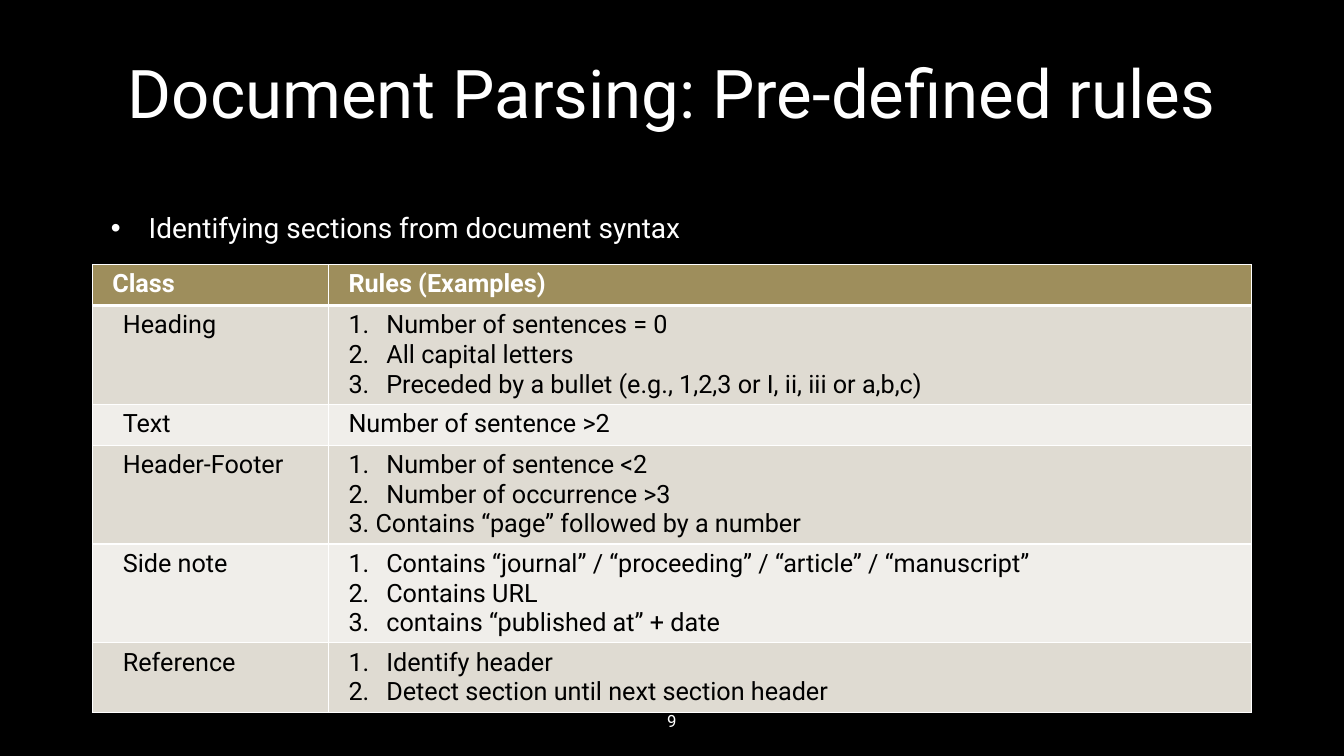
from pptx import Presentation
from pptx.dml.color import RGBColor
from pptx.enum.text import MSO_ANCHOR as Anchor, MSO_AUTO_SIZE as AutoSize, PP_ALIGN as Align
from pptx.oxml.ns import qn
from pptx.util import Emu, Pt
from lxml.etree import SubElement

PX = 9525
FONT = "Roboto"
INDENT = 36
COLORS = {
    "background": "000000",
    "light": "FFFFFF",
    "dark": "000000",
    "header": "9E8E5C",
    "odd": "DFDBD2",
    "even": "F0EEEA",
}

# Each row: height, class, rules; rules are (numbered, text)
RULES = [
    (94, "Heading", [
        (True, "Number of sentences = 0"),
        (True, "All capital letters"),
        (True, "Preceded by a bullet (e.g., 1,2,3 or I, ii, iii or a,b,c)"),
    ]),
    (39, "Text", [(False, "Number of sentence >2")]),
    (94, "Header-Footer", [
        (True, "Number of sentence <2"),
        (True, "Number of occurrence >3"),
        (False, "3. Contains “page” followed by a number"),
    ]),
    (94, "Side note", [
        (True, "Contains “journal” / “proceeding” / “article” / “manuscript”"),
        (True, "Contains URL"),
        (True, "contains “published at” + date"),
    ]),
    (66, "Reference", [
        (True, "Identify header"),
        (True, "Detect section until next section header"),
    ]),
]


def px(n):
    return Emu(n * PX)


def rgb(name):
    return RGBColor.from_string(COLORS[name])


def style(p, size, color, bold=False):
    p.font.name = FONT
    p.font.size = Pt(size)
    p.font.bold = bold
    p.font.color.rgb = rgb(color)


def add_bullet(p, tag, **attrs):
    """Give the paragraph a hanging indent and a bullet or number."""
    pPr = p._p.get_or_add_pPr()
    pPr.set("marL", str(px(INDENT)))
    pPr.set("indent", str(px(-INDENT)))
    bullet = pPr.makeelement(qn(tag), attrs)
    pPr.insert_element_before(bullet, "a:tabLst", "a:defRPr", "a:extLst")


def place(s, left, top, width, height):
    s.left, s.top, s.width, s.height = map(px, (left, top, width, height))


def fill_placeholder(s, box, text, size, anchor):
    place(s, *box)
    tf = s.text_frame
    tf.text = text
    tf.auto_size = AutoSize.NONE
    tf.vertical_anchor = anchor
    p = tf.paragraphs[0]
    style(p, size, "light")
    return p


def set_borders(cell, top=1, bottom=1):
    tcPr = cell._tc.get_or_add_tcPr()
    for side, width in (("L", 1), ("R", 1), ("T", top), ("B", bottom)):
        ln = SubElement(tcPr, qn(f"a:ln{side}"), w=str(Pt(width)))
        solid = SubElement(ln, qn("a:solidFill"))
        SubElement(solid, qn("a:srgbClr"), val=COLORS["light"])


def fill_cell(cell, lines, fill, inset, color="dark", bold=False):
    cell.fill.solid()
    cell.fill.fore_color.rgb = rgb(fill)
    cell.margin_left = cell.margin_right = px(inset)
    tf = cell.text_frame
    tf.text = "\n".join(text for _, text in lines)
    for p, (numbered, _) in zip(tf.paragraphs, lines):
        style(p, 18, color, bold)
        if numbered:
            add_bullet(p, "a:buAutoNum", type="arabicPeriod")


def add_rules_table(slide):
    heights = [39] + [height for height, _, _ in RULES]
    widths = (225, 879)
    s = slide.shapes.add_table(len(heights), 2, px(88), px(252),
                               px(sum(widths)), px(sum(heights)))
    table = s.table
    for column, width in zip(table.columns, widths):
        column.width = px(width)
    for row, height in zip(table.rows, heights):
        row.height = px(height)

    for cell, text in zip(table.rows[0].cells, ("Class", "Rules (Examples)")):
        set_borders(cell, bottom=3)
        fill_cell(cell, [(False, text)], "header", 19, "light", True)

    for i, (_, name, rules) in enumerate(RULES, 1):
        fill = "odd" if i % 2 else "even"
        for cell in table.rows[i].cells:
            set_borders(cell, top=3 if i == 1 else 1)
        fill_cell(table.cell(i, 0), [(False, name)], fill, 29)
        fill_cell(table.cell(i, 1), rules, fill, 19)


def add_page_number(slide, number):
    s = slide.shapes.add_textbox(px(592), px(667), px(96), px(38))
    tf = s.text_frame
    tf.word_wrap = True
    tf.vertical_anchor = Anchor.MIDDLE
    p = tf.paragraphs[0]
    p.text = number
    p.alignment = Align.CENTER
    style(p, 12, "light")


def main():
    prs = Presentation()
    prs.slide_width, prs.slide_height = px(1280), px(720)
    slide = prs.slides.add_slide(prs.slide_layouts[1])
    slide.background.fill.solid()
    slide.background.fill.fore_color.rgb = rgb("background")

    title = fill_placeholder(slide.shapes.title, (96, 12, 1088, 150),
                             "Document Parsing: Pre-defined rules", 48, Anchor.MIDDLE)
    title.alignment = Align.CENTER
    body = fill_placeholder(slide.placeholders[1], (96, 196, 1088, 447),
                            "Identifying sections from document syntax", 20, Anchor.TOP)
    add_bullet(body, "a:buChar", char="•")
    add_rules_table(slide)
    add_page_number(slide, "9")
    prs.save("out.pptx")


if __name__ == "__main__":
    main()
